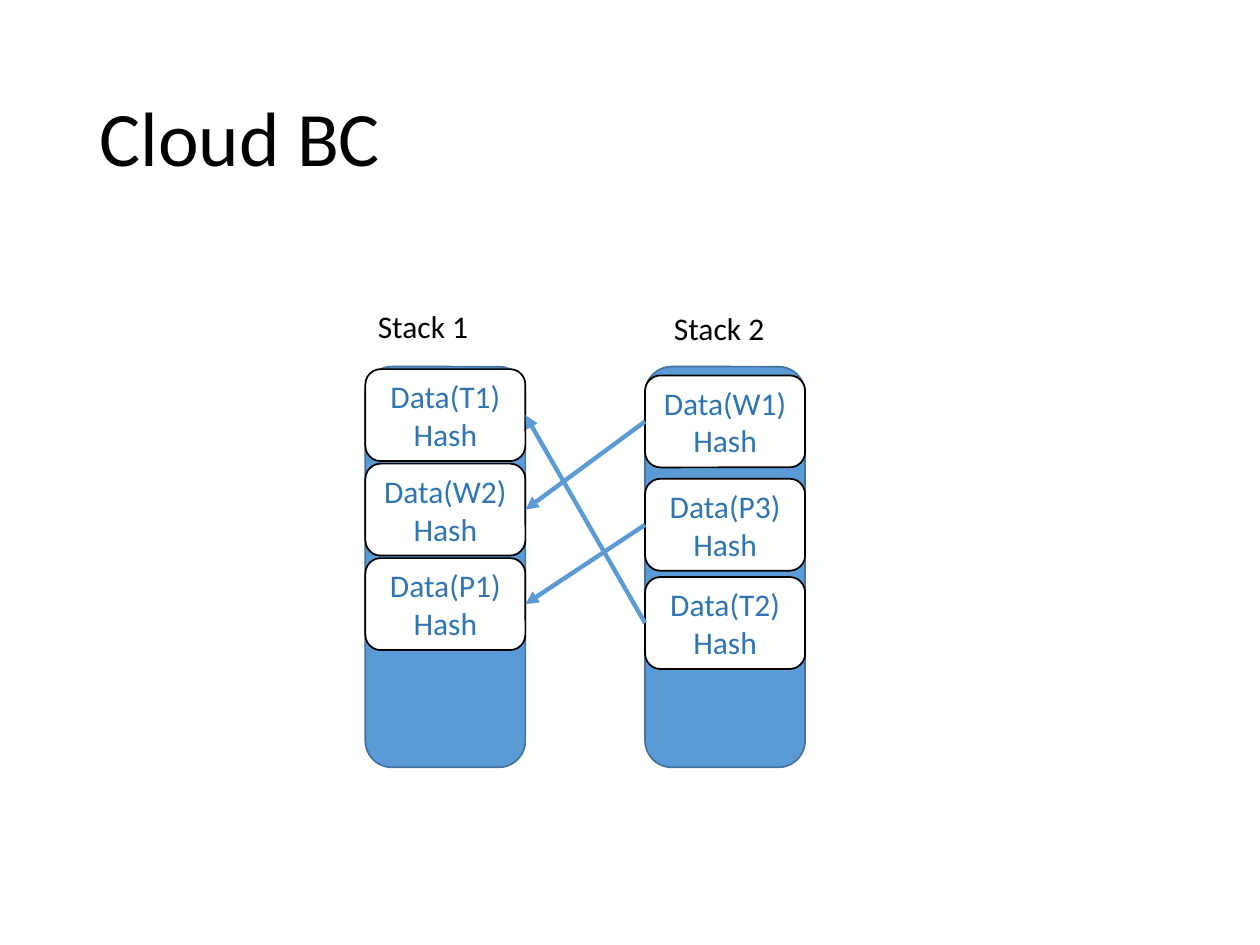
from lxml.etree import SubElement
from pptx import Presentation
from pptx.dml.color import RGBColor
from pptx.enum.shapes import MSO_CONNECTOR, MSO_SHAPE
from pptx.enum.text import MSO_ANCHOR, MSO_AUTO_SIZE, PP_ALIGN
from pptx.oxml.ns import qn
from pptx.util import Inches, Pt

BLOCK_WIDTH, BLOCK_HEIGHT = 1.27, 0.73
STACK_TOP, STACK_HEIGHT = 2.91, 3.18
STACKS = [
    ("Stack 1", 2.9, 2.9, 2.39, {"T1": 2.93, "W2": 3.68, "P1": 4.43}),
    ("Stack 2", 5.12, 5.25, 2.4, {"W1": 2.98, "P3": 3.8, "T2": 4.58}),
]
LINKS = [("T2", "T1"), ("W1", "W2"), ("P3", "P1")]


def color(value):
    return RGBColor.from_string(value)


class SlideBuilder:
    """Holds the style and the slide that elements are added to."""

    font_name = "Calibri"
    black, white = "000000", "FFFFFF"
    blue, edge, text_blue = "5B9BD5", "43739E", "2E75B6"

    def __init__(self, slide):
        self.slide = slide

    def format_text(self, text_frame, size, font_color, alignment):
        for paragraph in text_frame.paragraphs:
            paragraph.alignment = alignment
            for run in paragraph.runs:
                run.font.name = self.font_name
                run.font.size = Pt(size)
                run.font.color.rgb = color(font_color)

    def title(self, text):
        shape = self.slide.shapes.title
        shape.left, shape.top = Inches(0.69), Inches(0.4)
        shape.width, shape.height = Inches(8.62), Inches(1.45)
        text_frame = shape.text_frame
        text_frame.text = text
        text_frame.vertical_anchor = MSO_ANCHOR.MIDDLE
        text_frame.paragraphs[0].line_spacing = 0.9
        self.format_text(text_frame, 44, self.black, PP_ALIGN.LEFT)

    def label(self, text, left, top):
        shape = self.slide.shapes.add_textbox(
            Inches(left), Inches(top), Inches(0.93), Inches(0.4))
        text_frame = shape.text_frame
        text_frame.text = text
        text_frame.word_wrap = False
        text_frame.auto_size = MSO_AUTO_SIZE.SHAPE_TO_FIT_TEXT
        self.format_text(text_frame, 18, self.black, PP_ALIGN.LEFT)

    def rounded_box(self, left, top, height, fill, line):
        shape = self.slide.shapes.add_shape(
            MSO_SHAPE.ROUNDED_RECTANGLE, Inches(left), Inches(top),
            Inches(BLOCK_WIDTH), Inches(height))
        shape.shadow.inherit = False
        shape.fill.solid()
        shape.fill.fore_color.rgb = color(fill)
        shape.line.color.rgb = color(line)
        shape.line.width = Pt(1)
        return shape

    def stack(self, left):
        self.rounded_box(left, STACK_TOP, STACK_HEIGHT, self.blue, self.edge)

    def block(self, name, left, top):
        shape = self.rounded_box(left, top, BLOCK_HEIGHT, self.white, self.black)
        text_frame = shape.text_frame
        text_frame.text = f"Data({name})\nHash"
        text_frame.vertical_anchor = MSO_ANCHOR.MIDDLE
        self.format_text(text_frame, 18, self.text_blue, PP_ALIGN.CENTER)
        return shape

    def arrow(self, source, target):
        connector = self.slide.shapes.add_connector(
            MSO_CONNECTOR.STRAIGHT, 0, 0, 0, 0)
        connector.begin_connect(source, 1)
        connector.end_connect(target, 3)
        connector.line.color.rgb = color(self.blue)
        connector.line.width = Pt(2.5)
        SubElement(connector.line._get_or_add_ln(), qn("a:tailEnd"), type="triangle")
        SubElement(connector._element.spPr, qn("a:effectLst"))


def main():
    presentation = Presentation()
    presentation.slide_width, presentation.slide_height = Inches(10), Inches(7.5)
    slide = presentation.slides.add_slide(presentation.slide_layouts[5])
    builder = SlideBuilder(slide)
    builder.title("Cloud BC")

    blocks = {}
    for name, left, label_left, label_top, block_tops in STACKS:
        builder.stack(left)
        for block_name, top in block_tops.items():
            blocks[block_name] = builder.block(block_name, left, top)
        builder.label(name, label_left, label_top)
    for source, target in LINKS:
        builder.arrow(blocks[source], blocks[target])

    presentation.save("out.pptx")


if __name__ == "__main__":
    main()
